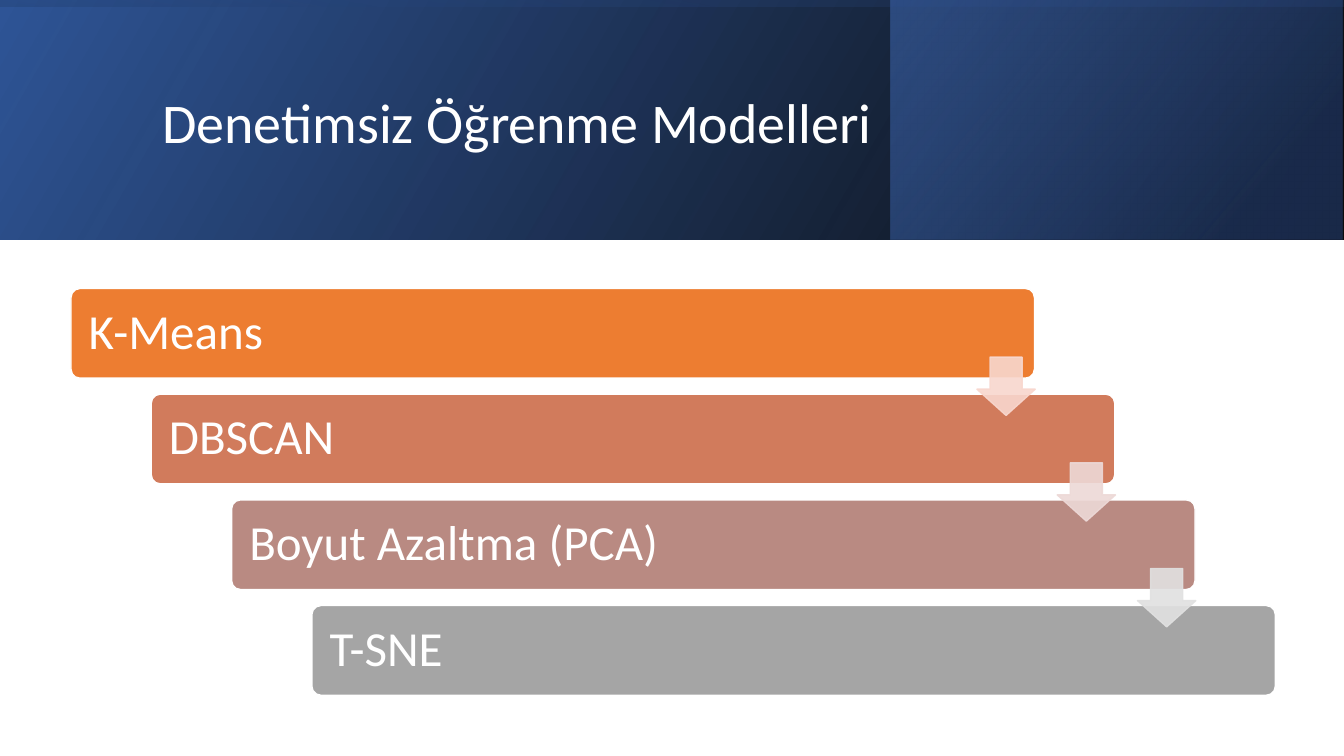
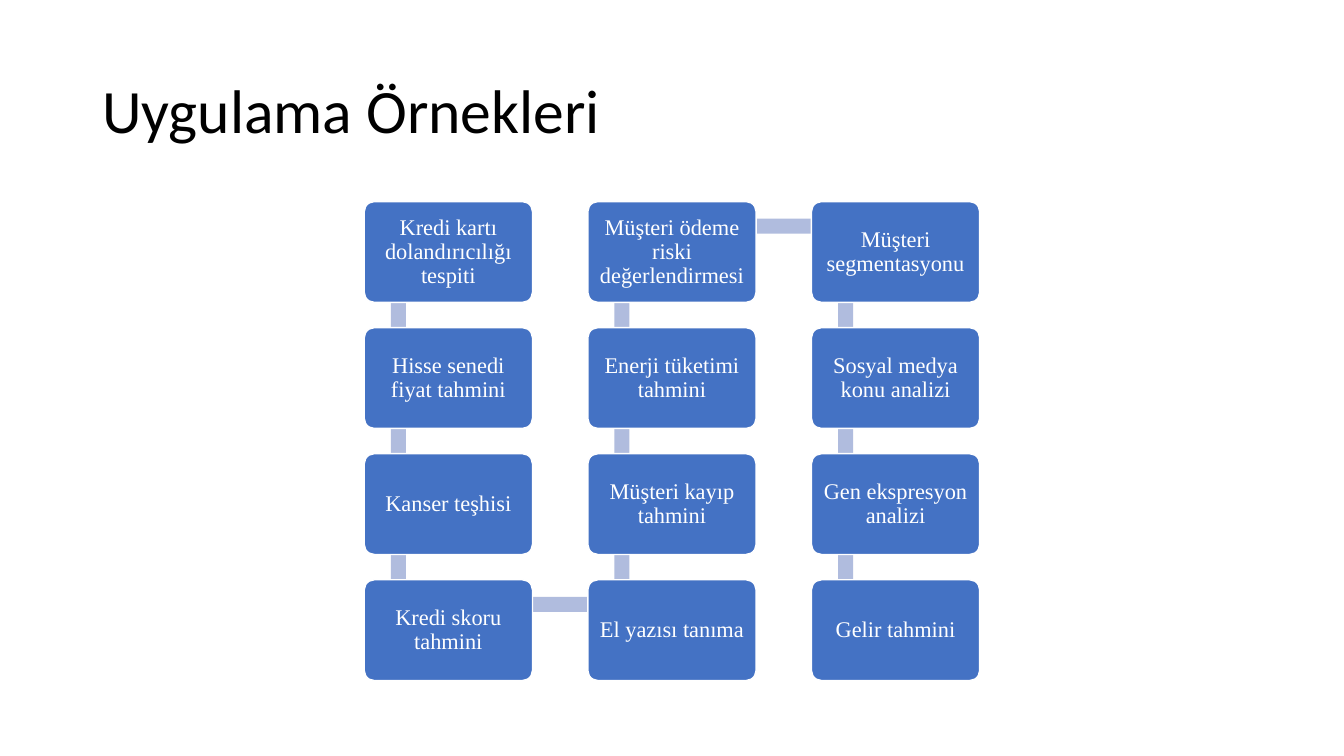
from itertools import pairwise

from lxml import etree
from pptx import Presentation
from pptx.dml.color import RGBColor
from pptx.enum.shapes import MSO_SHAPE as Shape
from pptx.enum.text import MSO_ANCHOR as Anchor, PP_ALIGN as Align
from pptx.oxml import parse_xml
from pptx.oxml.ns import nsdecls, qn
from pptx.util import Cm, Pt

SLIDE_W, SLIDE_H = 33.87, 19.05
WHITE, BLACK, BLUE, PALE_BLUE = "FFFFFF", "000000", "4472C4", "B0BCDE"
NAVY, DEEP_BLUE = "203864", "2F5597"
SANS, SERIF = "Calibri", "Times New Roman"

STEPS = [
    ("K-Means", "ED7D31"),
    ("DBSCAN", "D17B5C"),
    ("Boyut Azaltma (PCA)", "B98A82"),
    ("T-SNE", "A5A5A5"),
]
ARROW_COLOURS = ["F8D7CE", "EDD9D7", "E1E1E1"]
EXAMPLES = [
    "Kredi kartı dolandırıcılığı tespiti",
    "Hisse senedi fiyat tahmini",
    "Kanser teşhisi",
    "Kredi skoru tahmini",
    "El yazısı tanıma",
    "Müşteri kayıp tahmini",
    "Enerji tüketimi tahmini",
    "Müşteri ödeme riski değerlendirmesi",
    "Müşteri segmentasyonu",
    "Sosyal medya konu analizi",
    "Gen ekspresyon analizi",
    "Gelir tahmini",
]


def colour(hex_value):
    """Turn a hex string into a colour."""
    return RGBColor.from_string(hex_value)


def write(shape, text, size, font=SANS, ink=WHITE, align=Align.LEFT, inset=(0.25, 0.13)):
    """Set the text of a shape and its format."""
    frame = shape.text_frame
    frame.word_wrap = True
    frame.vertical_anchor = Anchor.MIDDLE
    frame.margin_left = frame.margin_right = Cm(inset[0])
    frame.margin_top = frame.margin_bottom = Cm(inset[1])
    paragraph = frame.paragraphs[0]
    paragraph.alignment = align
    paragraph.line_spacing = 0.9
    run = paragraph.add_run()
    run.text = text
    run.font.size = Pt(size)
    run.font.name = font
    run.font.color.rgb = colour(ink)


def add_title(slide, box, text, size, ink):
    """Place the slide title in its box."""
    write(slide.shapes.add_textbox(*map(Cm, box)), text, size, ink=ink)


def add_block(slide, kind, box, fill=None, line=None, adjust=(), opacity=100):
    """Add a preset shape with flat fill and outline."""
    block = slide.shapes.add_shape(kind, *map(Cm, box))
    block.shadow.inherit = False
    for index, value in enumerate(adjust):
        block.adjustments[index] = value
    if fill:
        block.fill.solid()
        block.fill.fore_color.rgb = colour(fill)
    if line:
        block.line.color.rgb = colour(line)
        block.line.width = Pt(1)
    else:
        block.line.fill.background()
    if opacity < 100:
        for tint in block.element.spPr.iter(qn("a:srgbClr")):
            etree.SubElement(tint, qn("a:alpha")).set("val", str(opacity * 1000))
    return block


def add_gradient(slide, box, stops, angle, rotation=0):
    """Add a mirrored rectangle with a see-through linear gradient."""
    panel = add_block(slide, Shape.RECTANGLE, box)
    panel.rotation = rotation
    panel.fill.background()
    properties = panel.element.spPr
    properties.find(qn("a:xfrm")).set("flipH", "1")
    marks = "".join(
        f'<a:gs pos="{place * 1000}"><a:srgbClr val="{tint}">'
        f'<a:alpha val="{opacity * 1000}"/></a:srgbClr></a:gs>'
        for place, tint, opacity in stops
    )
    gradient = parse_xml(
        f'<a:gradFill {nsdecls("a")} rotWithShape="1"><a:gsLst>{marks}</a:gsLst>'
        f'<a:lin ang="{angle * 60000}" scaled="0"/></a:gradFill>'
    )
    properties.replace(properties.find(qn("a:noFill")), gradient)


def add_band(slide, box):
    """Layer the three gradients of the header band."""
    left, top, width, height = box
    side = 11.39
    shift = (width - height) / 2
    add_gradient(slide, box, [(0, BLACK, 96), (100, DEEP_BLUE, 100)], 330)
    add_gradient(slide, (left + width - side - 0.03, top, side, height),
                 [(19, NAVY, 68), (100, BLUE, 48)], 320)
    add_gradient(slide, (left + shift, top - shift, height, width),
                 [(23, DEEP_BLUE, 16), (99, BLACK, 45)], 350, rotation=270)


def add_staircase(slide, box):
    """Place the steps down a staircase, with arrows between them."""
    left, top, width, height = box
    step_w, step_h, arrow = 24.28, 2.26, 1.47
    gaps = len(STEPS) - 1
    run, drop = (width - step_w) / gaps, (height - step_h) / gaps
    for i, (model, fill) in enumerate(STEPS):
        step = add_block(slide, Shape.ROUNDED_RECTANGLE,
                         (left + i * run, top + i * drop, step_w, step_h),
                         fill, WHITE, [0.1])
        write(step, model, 35, inset=(0.38, 0.38))
    for i, tint in enumerate(ARROW_COLOURS):
        add_block(slide, Shape.DOWN_ARROW,
                  (left + i * run + step_w - 1.45, top + i * drop + 1.73, arrow, arrow),
                  tint, tint, [0.55, 0.45], opacity=90)


def add_bar(slide, start, end, thickness=0.38):
    """Lay a flat bar along the upright or level way between two points."""
    (x1, y1), (x2, y2) = start, end
    if x1 == x2:
        box = (x1 - thickness / 2, min(y1, y2), thickness, abs(y2 - y1))
    else:
        box = (x1, y1 - thickness / 2, x2 - x1, thickness)
    add_block(slide, Shape.RECTANGLE, box, PALE_BLUE)


def add_snake(slide, box, rows=4, columns=3):
    """Place the examples in columns that run down, up and down again."""
    left, top, width, height = box
    card_w, card_h = 4.24, 2.54
    pitch_x = (width - card_w) / (columns - 1)
    pitch_y = (height - card_h) / (rows - 1)
    corners = []
    for i in range(len(EXAMPLES)):
        column, row = divmod(i, rows)
        if column % 2:
            row = rows - 1 - row
        corners.append((left + column * pitch_x, top + row * pitch_y))
    joints = [(x + 0.86, y + 0.62) for x, y in corners]
    for start, end in pairwise(joints):
        add_bar(slide, start, end)
    for example, corner in zip(EXAMPLES, corners):
        card = add_block(slide, Shape.ROUNDED_RECTANGLE, corner + (card_w, card_h),
                         BLUE, WHITE, [0.1])
        write(card, example, 16, font=SERIF, align=Align.CENTER, inset=(0.17, 0.17))


def build_models(slide):
    """Build the slide of unsupervised learning models."""
    add_band(slide, (0, 0, SLIDE_W, 6.03))
    add_title(slide, (3.84, 0.97, 27, 4.37), "Denetimsiz Öğrenme Modelleri", 40, WHITE)
    add_staircase(slide, (1.79, 7.27, 30.35, 10.25))


def build_examples(slide):
    """Build the slide of application examples."""
    add_title(slide, (2.33, 1.01, 29.21, 3.68), "Uygulama Örnekleri", 44, BLACK)
    add_snake(slide, (9.18, 5.08, 15.51, 12.07))


def main():
    """Build and save the presentation."""
    deck = Presentation()
    deck.slide_width, deck.slide_height = Cm(SLIDE_W), Cm(SLIDE_H)
    for build in (build_models, build_examples):
        build(deck.slides.add_slide(deck.slide_layouts[6]))
    deck.save("out.pptx")


if __name__ == "__main__":
    main()
